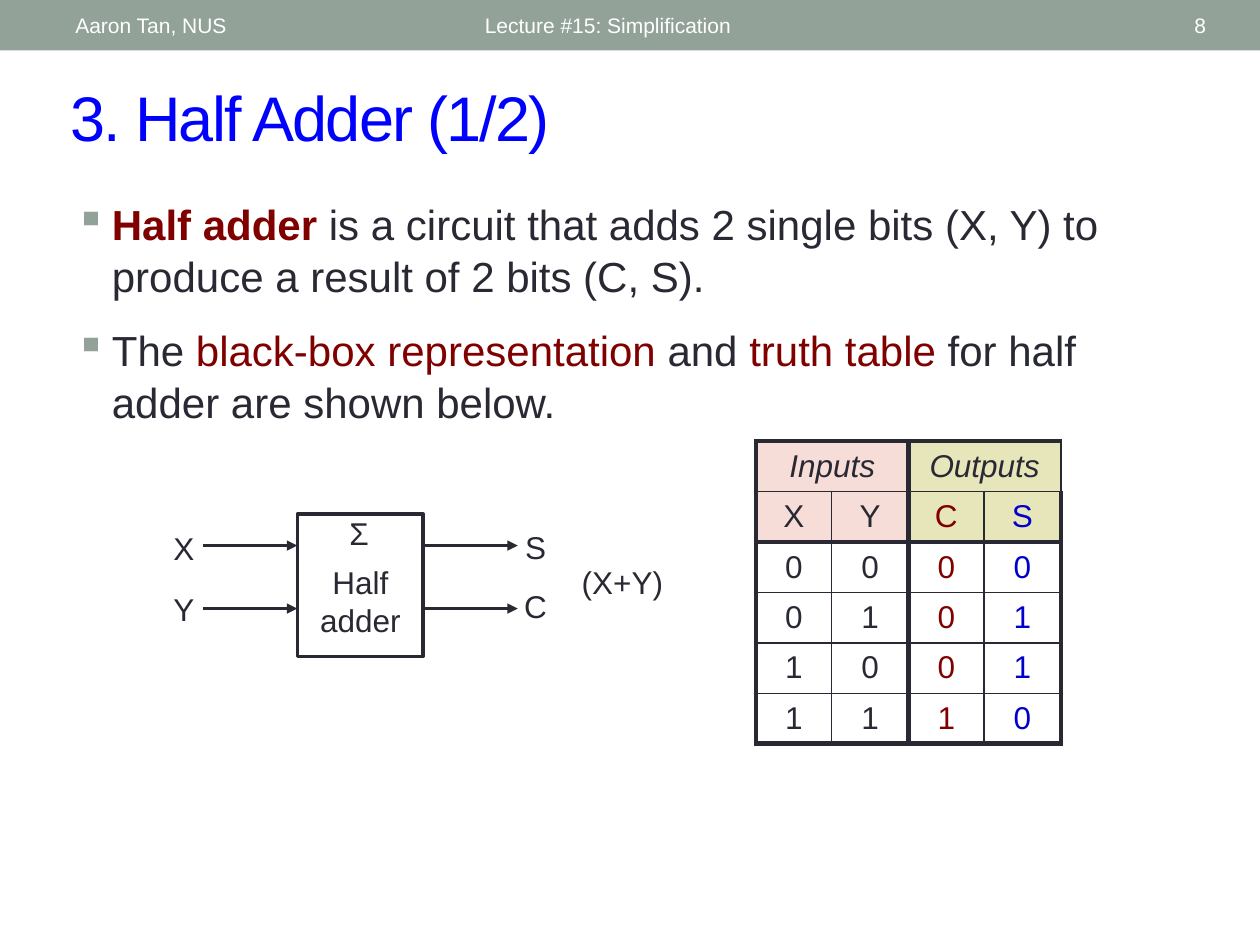
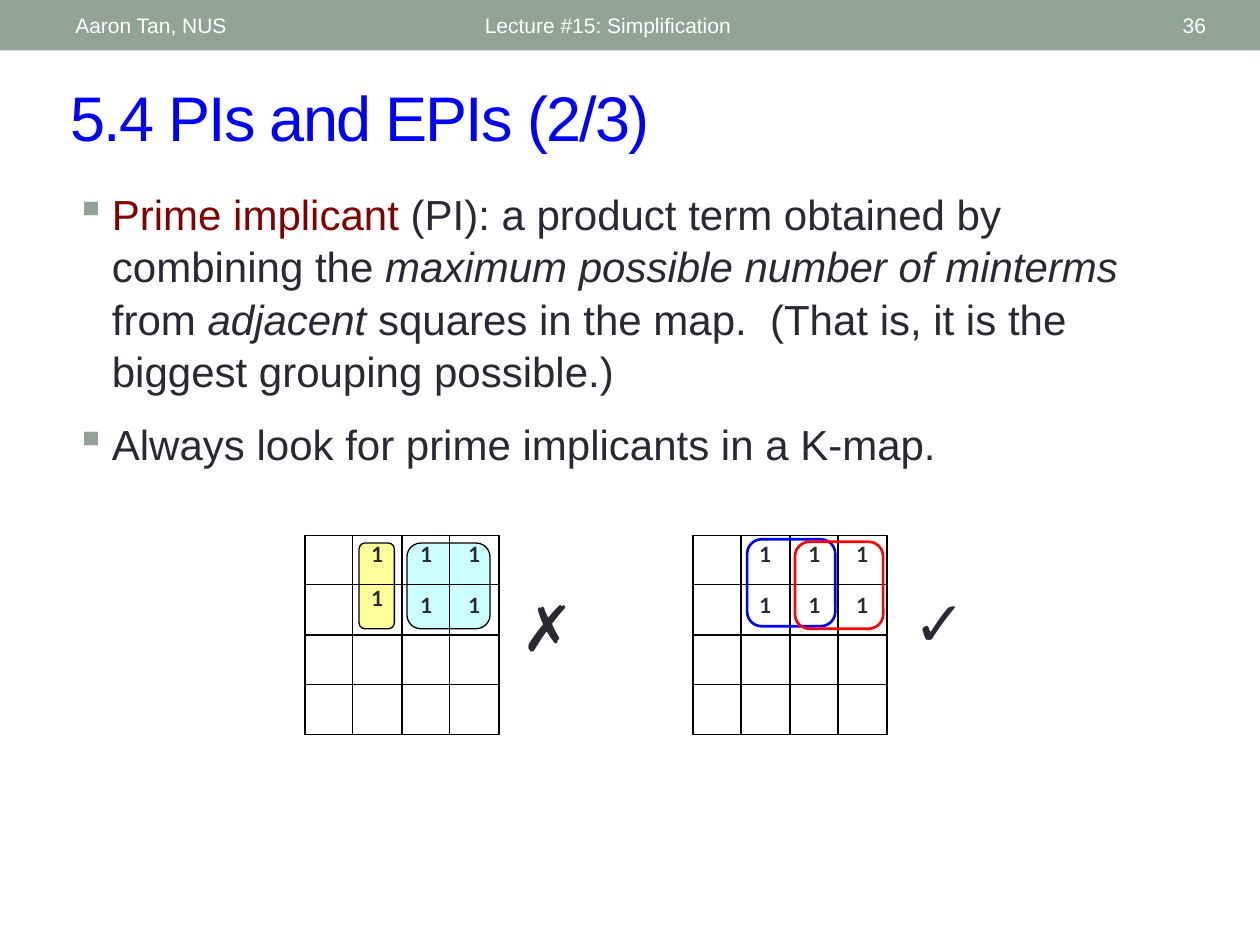
from dataclasses import dataclass
from typing import NamedTuple

from lxml.etree import Element, SubElement
from pptx import Presentation
from pptx.dml.color import RGBColor
from pptx.enum.shapes import MSO_CONNECTOR, MSO_SHAPE
from pptx.enum.text import MSO_ANCHOR, PP_ALIGN
from pptx.oxml.ns import qn
from pptx.slide import Slide
from pptx.table import _Cell as Cell
from pptx.util import Emu, Pt

PX = 9144
SAGE = RGBColor(0x93, 0xA2, 0x99)
INK = RGBColor(0x29, 0x29, 0x34)
BLUE = RGBColor(0x00, 0x00, 0xFF)
NAVY = RGBColor(0x00, 0x00, 0xCC)
RED = RGBColor(0xFF, 0x00, 0x00)
MAROON = RGBColor(0x80, 0x00, 0x00)
WHITE = RGBColor(0xFF, 0xFF, 0xFF)
BLACK = RGBColor(0x00, 0x00, 0x00)
ROSE = RGBColor(0xF6, 0xDD, 0xD8)
OLIVE = RGBColor(0xE7, 0xE5, 0xBA)
CYAN = RGBColor(0xCC, 0xFF, 0xFF)
YELLOW = RGBColor(0xFF, 0xFF, 0x99)
LEFT, CENTER, RIGHT = PP_ALIGN.LEFT, PP_ALIGN.CENTER, PP_ALIGN.RIGHT


class Box(NamedTuple):
    x: int
    y: int
    w: int
    h: int


class Bit(NamedTuple):
    text: str
    color: RGBColor = INK
    bold: bool = False
    slant: bool = False


@dataclass(frozen=True)
class Style:
    size: int = 18
    color: RGBColor = INK
    align: PP_ALIGN = CENTER
    anchor: MSO_ANCHOR = MSO_ANCHOR.TOP
    face: str = "Arial"
    bold: bool = False


@dataclass(frozen=True)
class Loop:
    box: Box
    line: RGBColor
    width: float
    fill: RGBColor | None = None


@dataclass(frozen=True)
class Map:
    x: int
    loops: tuple[Loop, ...]
    mark: str
    spot: Box
    shift: int = 0
    behind: bool = False


TITLE = Style(36, BLUE, LEFT, MSO_ANCHOR.MIDDLE)
BAND = Style(12, WHITE, LEFT, MSO_ANCHOR.MIDDLE)
PAGE = Style(12, WHITE, RIGHT, MSO_ANCHOR.MIDDLE)
LABEL = Style()
ONE = Style(12, face="Lato", bold=True)
MARK = Style(36, align=LEFT)


def scale(*sides: int) -> list[Emu]:
    return [Emu(side * PX) for side in sides]


def add_text(slide: Slide, box: Box, text: str, style: Style, gap: int = 0) -> None:
    frame = slide.shapes.add_textbox(*scale(*box)).text_frame
    frame.word_wrap = True
    frame.vertical_anchor = style.anchor
    frame.text = text
    para = frame.paragraphs[0]
    para.alignment = style.align
    for run in para.runs:
        font = run.font
        font.name, font.size, font.bold = style.face, Pt(style.size), style.bold
        font.color.rgb = style.color
        if gap:
            run._r.get_or_add_rPr().set("spc", str(gap))


def add_points(slide: Slide, box: Box, points: list[list[Bit]]) -> None:
    frame = slide.shapes.add_textbox(*scale(*box)).text_frame
    frame.word_wrap = True
    for i, bits in enumerate(points):
        para = frame.add_paragraph() if i else frame.paragraphs[0]
        para.line_spacing = 1.04
        if i:
            para.space_before = Pt(12)
        props = para._p.get_or_add_pPr()
        props.set("marL", str(29 * PX))
        props.set("indent", str(-29 * PX))
        tint = SubElement(props, qn("a:buClr"))
        SubElement(tint, qn("a:srgbClr")).set("val", str(SAGE))
        SubElement(props, qn("a:buChar")).set("char", "▪")
        for bit in bits:
            run = para.add_run()
            run.text = bit.text
            font = run.font
            font.name, font.size = "Arial", Pt(24)
            font.bold, font.italic = bit.bold, bit.slant
            font.color.rgb = bit.color


def add_block(slide: Slide, kind: MSO_SHAPE, box: Box, fill: RGBColor | None,
              line: RGBColor | None, width: float = 0) -> None:
    shape = slide.shapes.add_shape(kind, *scale(*box))
    shape.shadow.inherit = False
    if fill is None:
        shape.fill.background()
    else:
        shape.fill.solid()
        shape.fill.fore_color.rgb = fill
    if line is None:
        shape.line.fill.background()
    else:
        shape.line.color.rgb = line
        shape.line.width = Pt(width)


def add_line(slide: Slide, x: int, y: int, end: int, low: int,
             color: RGBColor, width: float, arrow: bool = False) -> None:
    wire = slide.shapes.add_connector(MSO_CONNECTOR.STRAIGHT, *scale(x, y, end, low))
    wire.line.color.rgb = color
    wire.line.width = Pt(width)
    props = wire._element.spPr
    if arrow:
        SubElement(props.find(qn("a:ln")), qn("a:tailEnd")).set("type", "triangle")
    SubElement(props, qn("a:effectLst"))


def add_base(deck: Presentation, title: str, page: int) -> Slide:
    slide = deck.slides.add_slide(deck.slide_layouts[6])
    add_block(slide, MSO_SHAPE.RECTANGLE, Box(0, 0, 1000, 40), SAGE, None)
    add_text(slide, Box(46, 57, 907, 70), title, TITLE, -100)
    add_text(slide, Box(375, 2, 450, 36), "Lecture #15: Simplification", BAND)
    add_text(slide, Box(872, 2, 95, 36), str(page), PAGE)
    add_text(slide, Box(50, 2, 317, 36), "Aaron Tan, NUS", BAND)
    return slide


def set_edges(cell: Cell, row: int, col: int) -> None:
    props = cell._tc.get_or_add_tcPr()
    heavy = {"L": col in (0, 2), "R": col in (1, 3),
             "T": row in (0, 2), "B": row in (1, 5)}
    for i, (side, thick) in enumerate(heavy.items()):
        edge = Element(qn(f"a:ln{side}"), w=str(Pt(3 if thick else 1)))
        fill = SubElement(edge, qn("a:solidFill"))
        SubElement(fill, qn("a:srgbClr")).set("val", str(INK))
        props.insert(i, edge)


def add_truth(slide: Slide) -> None:
    rows = ["Inputs", "", "Outputs", ""], "XYCS", "0000", "0101", "1001", "1110"
    frame = slide.shapes.add_table(len(rows), 4, *scale(600, 350, 242, 240))
    table = frame.table
    table.first_row = table.horz_banding = False
    for col, width in enumerate((60, 61, 60, 61)):
        table.columns[col].width = Emu(width * PX)
    for col in (0, 2):
        table.cell(0, col).merge(table.cell(0, col + 1))
    for r, row in enumerate(rows):
        table.rows[r].height = Emu(40 * PX)
        for c, text in enumerate(row):
            cell = table.cell(r, c)
            if r < 2:
                cell.fill.solid()
                cell.fill.fore_color.rgb = ROSE if c < 2 else OLIVE
            else:
                cell.fill.background()
            set_edges(cell, r, c)
            cell.vertical_anchor = MSO_ANCHOR.MIDDLE
            para = cell.text_frame.paragraphs[0]
            para.text = text
            para.alignment = CENTER
            for run in para.runs:
                font = run.font
                font.name, font.size, font.italic = "Arial", Pt(18), r == 0
                font.color.rgb = (INK, INK, MAROON, NAVY)[c] if r else INK


def add_adder(slide: Slide) -> None:
    add_block(slide, MSO_SHAPE.RECTANGLE, Box(236, 408, 100, 113), None, INK, 2)
    for x in (161, 336):
        for y in (433, 483):
            add_line(slide, x, y, x + 75, y, INK, 1.5, True)
    labels = {
        "Half adder": Box(236, 442, 100, 74),
        "Σ": Box(253, 403, 64, 44),
        "X": Box(125, 415, 42, 40),
        "Y": Box(125, 463, 42, 40),
        "S": Box(404, 414, 42, 40),
        "C": Box(404, 461, 42, 40),
        "(X+Y)": Box(444, 442, 100, 40),
    }
    for text, box in labels.items():
        add_text(slide, box, text, LABEL)


def add_loops(slide: Slide, loops: tuple[Loop, ...]) -> None:
    for loop in loops:
        add_block(slide, MSO_SHAPE.ROUNDED_RECTANGLE, loop.box, loop.fill,
                  loop.line, loop.width)


def add_map(slide: Slide, grid: Map) -> None:
    top, wide, high = 425, 154, 158
    if grid.behind:
        add_loops(slide, grid.loops)
    add_block(slide, MSO_SHAPE.RECTANGLE, Box(grid.x, top, wide, high), None, BLACK, 0.75)
    for i in range(1, 4):
        x, y = grid.x + wide * i // 4, top + high * i // 4
        add_line(slide, grid.x, y, grid.x + wide, y, BLACK, 0.75)
        add_line(slide, x, top, x, top + high, BLACK, 0.75)
        add_text(slide, Box(x, top, 39, 40), "1", ONE)
        drop = 40 - (grid.shift if i == 1 else 0)
        add_text(slide, Box(x, top + drop, 39, 40), "1", ONE)
    if not grid.behind:
        add_loops(slide, grid.loops)
    add_text(slide, grid.spot, grid.mark, MARK)


def draw_adder(deck: Presentation) -> None:
    slide = add_base(deck, "3. Half Adder (1/2)", 8)
    add_points(slide, Box(50, 151, 883, 215), [
        [Bit("Half adder", MAROON, True),
         Bit(" is a circuit that adds 2 single bits (X, Y) to produce "
             "a result of 2 bits (C, S).")],
        [Bit("The "), Bit("black-box representation", MAROON), Bit(" and "),
         Bit("truth table", MAROON), Bit(" for half adder are shown below.")],
    ])
    add_truth(slide)
    add_adder(slide)


def draw_maps(deck: Presentation) -> None:
    slide = add_base(deck, "5.4 PIs and EPIs (2/3)", 36)
    add_points(slide, Box(50, 143, 900, 244), [
        [Bit("Prime implicant", MAROON),
         Bit(" (PI): a product term obtained by combining the "),
         Bit("maximum possible number of minterms", slant=True), Bit(" from "),
         Bit("adjacent", slant=True),
         Bit(" squares in the map.  (That is, it is the biggest grouping possible.)")],
        [Bit("Always look for prime implicants in a K-map.")],
    ])
    add_map(slide, Map(242, (
        Loop(Box(323, 431, 66, 68), BLACK, 0.75, CYAN),
        Loop(Box(285, 431, 28, 68), BLACK, 0.75, YELLOW),
    ), "✗", Box(404, 462, 77, 92), 5, True))
    add_map(slide, Map(550, (
        Loop(Box(593, 428, 70, 69), BLUE, 1.5),
        Loop(Box(631, 430, 70, 69), RED, 1.5),
    ), "✓", Box(715, 458, 77, 92)))


def main() -> None:
    deck = Presentation()
    deck.slide_width, deck.slide_height = scale(1000, 750)
    draw_adder(deck)
    draw_maps(deck)
    deck.save("out.pptx")


if __name__ == "__main__":
    main()
